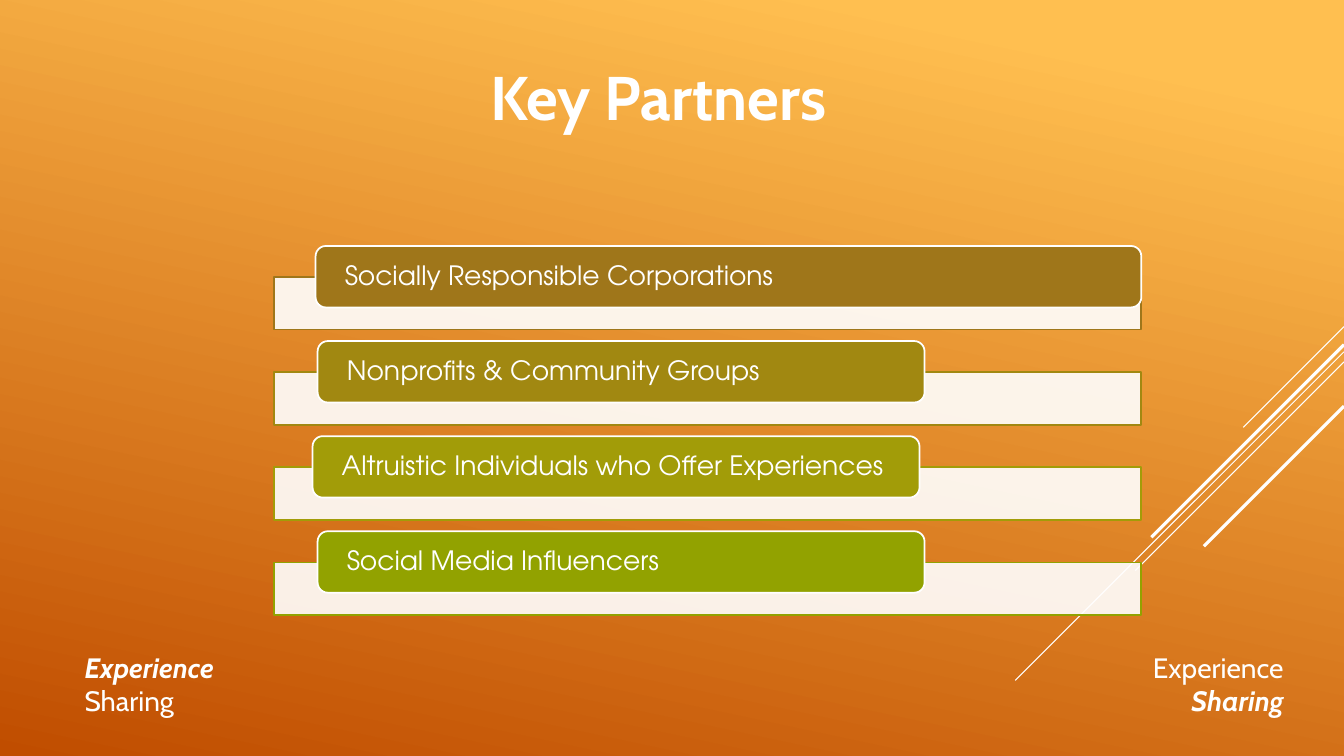
from dataclasses import dataclass

from lxml import etree
from pptx import Presentation
from pptx.dml.color import RGBColor
from pptx.enum.shapes import MSO_CONNECTOR, MSO_SHAPE
from pptx.enum.text import MSO_ANCHOR, MSO_AUTO_SIZE, PP_ALIGN
from pptx.oxml.ns import qn
from pptx.util import Inches, Pt

LEFT, CENTER, RIGHT = PP_ALIGN.LEFT, PP_ALIGN.CENTER, PP_ALIGN.RIGHT
MIDDLE = MSO_ANCHOR.MIDDLE
RECT, ROUNDED = MSO_SHAPE.RECTANGLE, MSO_SHAPE.ROUNDED_RECTANGLE

TITLE = "Key Partners"
# text, colour, label left, label width
PARTNERS = [
    ("Socially Responsible Corporations", "9F761A", 3.13, 8.19),
    ("Nonprofits & Community Groups", "A18811", 3.15, 6.02),
    ("Altruistic Individuals who Offer Experiences", "A29C08", 3.10, 6.02),
    ("Social Media Influencers", "92A200", 3.15, 6.02),
]
# left, alignment, (word, emphasised) per line
TAGLINES = [
    (0.74, LEFT, [("Experience", True), ("Sharing", False)]),
    (9.0, RIGHT, [("Experience", False), ("Sharing", True)]),
]
# start y on the right edge, length across, weight; all run at 45 degrees
DIAGONALS = [
    (3.24, 1.0, 0.75),
    (3.49, 3.26, 0.75),
    (3.59, 2.07, 0.75),
    (3.42, 1.91, 2.25),
    (4.03, 1.39, 2.25),
]


@dataclass(frozen=True)
class Theme:
    white: str = "FFFFFF"
    bg_light: str = "FFBF50"
    bg_dark: str = "C04D00"
    font: str = "Cabin"
    label_font: str = "TeX Gyre Adventor"
    title_size: float = 44
    label_size: float = 19
    tagline_size: float = 20
    outline: float = 1.25


THEME = Theme()
SLIDE_W, SLIDE_H = 13.33, 7.5
RAIL_LEFT, RAIL_W, RAIL_H = 2.72, 8.6, 0.52
FIRST_RAIL, LAST_RAIL = 2.75, 5.58
LABEL_H, LABEL_RISE, LABEL_INSET = 0.61, 0.31, 0.26


def rgb(value):
    return RGBColor.from_string(value)


def write(p, text, size, font=THEME.font, bold=False, italic=False, align=LEFT):
    p.alignment = align
    r = p.add_run()
    r.text = text
    r.font.size, r.font.name = Pt(size), font
    r.font.bold, r.font.italic = bold, italic
    r.font.color.rgb = rgb(THEME.white)


def paint_background(s):
    fill = s.background.fill
    fill.gradient()
    fill.gradient_angle = 258  # counter-clockwise
    stops = [(0.1, THEME.bg_light), (1.0, THEME.bg_dark)]
    for stop, (position, color) in zip(fill.gradient_stops, stops):
        stop.position = position
        stop.color.rgb = rgb(color)


def add_diagonal(s, y, length, weight):
    line = s.shapes.add_connector(
        MSO_CONNECTOR.STRAIGHT, Inches(SLIDE_W), Inches(y),
        Inches(SLIDE_W - length), Inches(y + length))
    line.line.color.rgb = rgb(THEME.white)
    line.line.width = Pt(weight)
    etree.SubElement(line._element.spPr, qn("a:effectLst"))


def add_box(s, kind, x, y, w, h, fill, outline, opacity=100):
    box = s.shapes.add_shape(kind, Inches(x), Inches(y), Inches(w), Inches(h))
    box.shadow.inherit = False
    box.fill.solid()
    box.fill.fore_color.rgb = rgb(fill)
    box.line.color.rgb = rgb(outline)
    box.line.width = Pt(THEME.outline)
    if opacity < 100:
        color = box._element.spPr.find(qn("a:solidFill")).find(qn("a:srgbClr"))
        etree.SubElement(color, qn("a:alpha"), val=str(opacity * 1000))
    return box


def add_partner(s, y, text, color, x, w):
    add_box(s, RECT, RAIL_LEFT, y, RAIL_W, RAIL_H, THEME.white, color, opacity=90)
    label = add_box(s, ROUNDED, x, y - LABEL_RISE, w, LABEL_H, color, THEME.white)
    tf = label.text_frame
    tf.word_wrap = True
    tf.vertical_anchor = MIDDLE
    tf.margin_left = tf.margin_right = Inches(LABEL_INSET)
    tf.margin_top = tf.margin_bottom = 0
    p = tf.paragraphs[0]
    p.line_spacing = 0.9
    write(p, text, THEME.label_size, font=THEME.label_font)


def add_tagline(s, x, align, lines):
    tf = s.shapes.add_textbox(Inches(x), Inches(6.4), Inches(3.83), Inches(0.77)).text_frame
    tf.word_wrap = True
    tf.auto_size = MSO_AUTO_SIZE.SHAPE_TO_FIT_TEXT
    for i, (word, strong) in enumerate(lines):
        p = tf.add_paragraph() if i else tf.paragraphs[0]
        write(p, word, THEME.tagline_size, bold=strong, italic=strong, align=align)


def set_title(s):
    title = s.shapes.title
    title.left, title.top = Inches(0.34), Inches(0)
    title.width, title.height = Inches(12.38), Inches(1.91)
    title.text_frame.vertical_anchor = MIDDLE
    write(title.text_frame.paragraphs[0], TITLE, THEME.title_size, bold=True, align=CENTER)


def main():
    prs = Presentation()
    prs.slide_width, prs.slide_height = Inches(SLIDE_W), Inches(SLIDE_H)
    s = prs.slides.add_slide(prs.slide_layouts[5])
    paint_background(s)
    for diagonal in DIAGONALS:
        add_diagonal(s, *diagonal)
    for tagline in TAGLINES:
        add_tagline(s, *tagline)
    set_title(s)
    pitch = (LAST_RAIL - FIRST_RAIL) / (len(PARTNERS) - 1)
    for i, partner in enumerate(PARTNERS):
        add_partner(s, FIRST_RAIL + i * pitch, *partner)
    prs.save("out.pptx")


if __name__ == "__main__":
    main()
